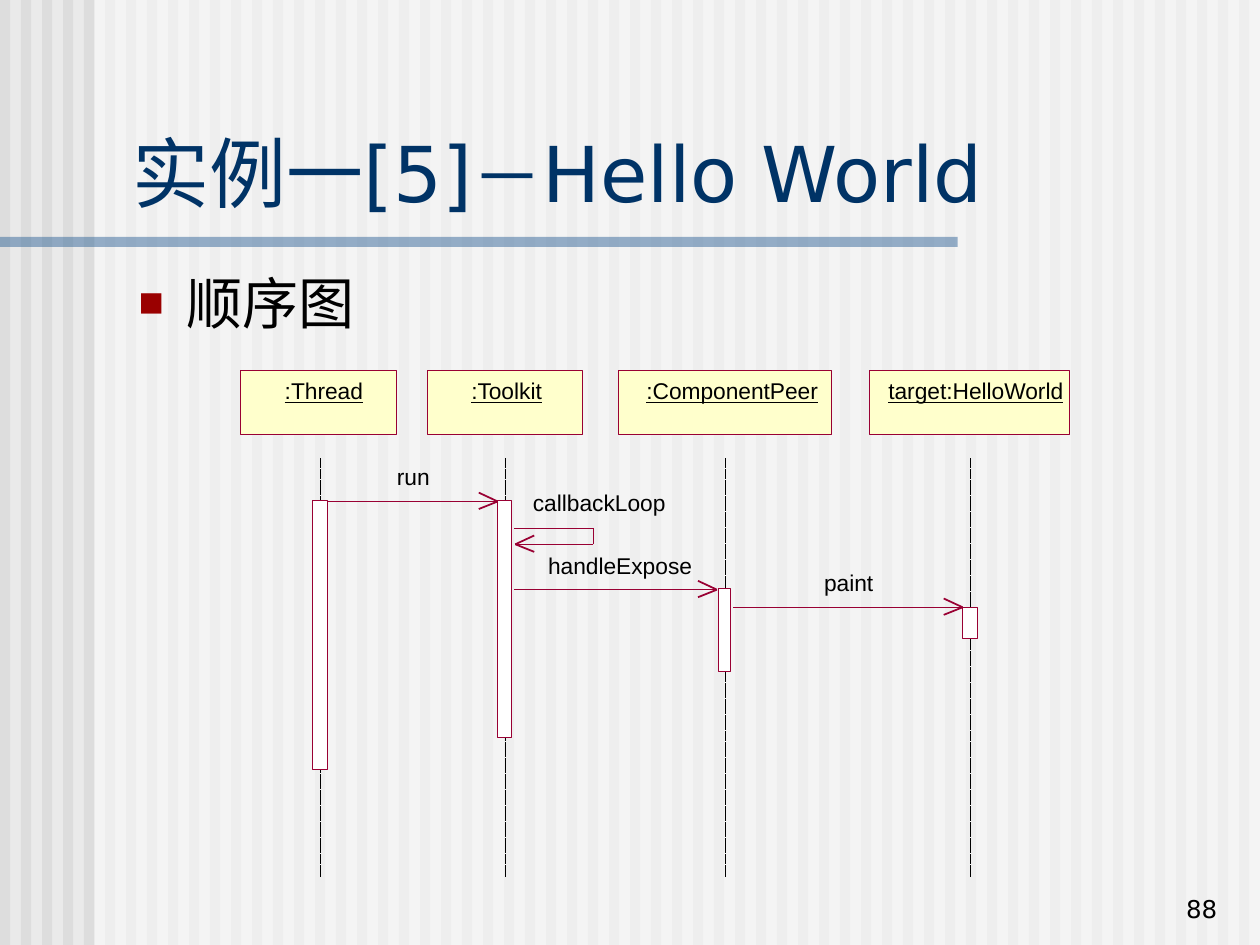
from dataclasses import dataclass

from lxml import etree
from pptx import Presentation
from pptx.dml.color import RGBColor
from pptx.enum.dml import MSO_LINE
from pptx.enum.shapes import MSO_CONNECTOR, MSO_SHAPE
from pptx.enum.text import MSO_ANCHOR, MSO_AUTO_SIZE, PP_ALIGN
from pptx.oxml.ns import qn
from pptx.util import Inches, Pt

RECTANGLE = MSO_SHAPE.RECTANGLE
STRAIGHT = MSO_CONNECTOR.STRAIGHT
SHORT_DASH = MSO_LINE.SQUARE_DOT
TOP, BOTTOM = MSO_ANCHOR.TOP, MSO_ANCHOR.BOTTOM
LEFT, RIGHT = PP_ALIGN.LEFT, PP_ALIGN.RIGHT
NO_AUTOFIT, GROW = MSO_AUTO_SIZE.NONE, MSO_AUTO_SIZE.SHAPE_TO_FIT_TEXT


@dataclass(frozen=True)
class Theme:
    backdrop: str = "EAEAEA"
    stripe: str = "DDDDDD"
    veil: str = "FFFFFF"
    rule: str = "336699"
    title: str = "003366"
    text: str = "000000"
    bullet: str = "9A0000"
    participant: str = "FFFFCC"
    activation: str = "FFFFFF"
    outline: str = "990033"
    heading_font: str = "DejaVu Sans"
    diagram_font: str = "Arial"
    title_size: float = 44
    dash_size: float = 40
    body_size: float = 32
    number_size: float = 14
    label_size: float = 13
    hairline: float = 0
    thin: float = 0.37
    bold: float = 1


class SlideBuilder:
    def __init__(self, slide, theme):
        self.slide = slide
        self.theme = theme
        backdrop = slide.background.fill
        backdrop.solid()
        backdrop.fore_color.rgb = RGBColor.from_string(theme.backdrop)

    def style(self, font, name, color, size=None):
        font.name = name
        font.color.rgb = RGBColor.from_string(color)
        if size:
            font.size = Pt(size)

    def rectangle(self, left, top, width, height, fill, outline=None, alpha=None):
        box = self.slide.shapes.add_shape(
            RECTANGLE, Inches(left), Inches(top), Inches(width), Inches(height))
        box.shadow.inherit = False
        box.fill.solid()
        box.fill.fore_color.rgb = RGBColor.from_string(fill)
        if alpha:
            color = box._element.spPr.find(".//" + qn("a:srgbClr"))
            etree.SubElement(color, qn("a:alpha"), val=str(alpha * 1000))
        if outline:
            box.line.color.rgb = RGBColor.from_string(outline)
            box.line.width = Pt(self.theme.thin)
        else:
            box.line.fill.background()

    def line(self, start, end, color, width, dash=None):
        connector = self.slide.shapes.add_connector(
            STRAIGHT, *(Inches(value) for value in (*start, *end)))
        connector.line.color.rgb = RGBColor.from_string(color)
        properties = connector._element.spPr
        properties.find(qn("a:ln")).set("w", str(Pt(width)))
        if dash:
            connector.line.dash_style = dash
        etree.SubElement(properties, qn("a:effectLst"))

    def message(self, points):
        theme = self.theme
        for start, end in zip(points, points[1:]):
            self.line(start, end, theme.outline, theme.thin)
        (from_x, _), (tip_x, tip_y) = points[-2:]
        barb_x = tip_x + (0.15 if from_x > tip_x else -0.15)
        for rise in (0.06, -0.07):
            self.line((tip_x, tip_y), (barb_x, tip_y + rise), theme.outline, theme.bold)

    def label(self, text, left, top, width, underline=None):
        box = self.slide.shapes.add_textbox(
            Inches(left), Inches(top), Inches(width), Inches(0.22))
        frame = box.text_frame
        frame.margin_left = frame.margin_right = frame.margin_top = frame.margin_bottom = 0
        frame.word_wrap = False
        frame.auto_size = GROW
        frame.text = text
        font = frame.paragraphs[0].font
        self.style(font, self.theme.diagram_font, self.theme.text, self.theme.label_size)
        font.underline = underline

    def place(self, placeholder, left, top, width, height, anchor):
        placeholder.left, placeholder.top = Inches(left), Inches(top)
        placeholder.width, placeholder.height = Inches(width), Inches(height)
        self.slide.shapes._spTree.append(placeholder._element)
        frame = placeholder.text_frame
        frame.auto_size = NO_AUTOFIT
        frame.vertical_anchor = anchor
        paragraph = frame.paragraphs[0]
        paragraph.alignment = LEFT
        paragraph.space_before = Pt(0)
        return paragraph

    def title(self, parts):
        heading = self.place(self.slide.shapes.title, 0.95, 0.94, 8.93, 0.84, BOTTOM)
        self.style(heading.font, self.theme.heading_font, self.theme.title)
        for text, size in parts:
            run = heading.add_run()
            run.text = text
            run.font.size = Pt(size)

    def bullet(self, text):
        item = self.place(self.slide.placeholders[1], 1, 2.08, 8.87, 0.67, TOP)
        item.text = text
        properties = item._p.get_or_add_pPr()
        properties.set("marL", str(Inches(0.38)))
        properties.set("indent", str(Inches(-0.38)))
        color = etree.SubElement(properties, qn("a:buClr"))
        etree.SubElement(color, qn("a:srgbClr"), val=self.theme.bullet)
        etree.SubElement(properties, qn("a:buSzPct"), val="75000")
        etree.SubElement(properties, qn("a:buFont"), typeface=self.theme.diagram_font)
        etree.SubElement(properties, qn("a:buChar"), char="■")
        self.style(item.font, self.theme.heading_font, self.theme.text, self.theme.body_size)

    def page_number(self, number):
        box = self.slide.shapes.add_textbox(
            Inches(7.68), Inches(6.88), Inches(2.08), Inches(0.5))
        frame = box.text_frame
        frame.word_wrap = True
        frame.vertical_anchor = BOTTOM
        frame.text = number
        paragraph = frame.paragraphs[0]
        paragraph.alignment = RIGHT
        self.style(paragraph.font, self.theme.heading_font, self.theme.text,
                   self.theme.number_size)


def main():
    theme = Theme()
    deck = Presentation()
    deck.slide_width, deck.slide_height = Inches(10), Inches(7.5)
    builder = SlideBuilder(deck.slides.add_slide(deck.slide_layouts[1]), theme)

    for column in range(60):
        builder.rectangle(column / 6, 0, 0.08, 7.5, theme.stripe)
    builder.rectangle(0.75, 0, 9.25, 7.5, theme.veil, alpha=50)
    builder.rectangle(0, 1.88, 7.6, 0.08, theme.rule, alpha=50)

    builder.title([("实例一[5]", theme.title_size), ("－", theme.dash_size),
                   ("Hello World", theme.title_size)])
    builder.bullet("顺序图")

    participants = [
        (":Thread", (1.91, 1.24), (2.26, 0.62), 2.54, (2.48, 3.97, 0.12, 2.14)),
        (":Toolkit", (3.39, 1.23), (3.74, 0.58), 4.01, (3.95, 3.97, 0.11, 1.88)),
        (":ComponentPeer", (4.91, 1.69), (5.13, 1.4), 5.76, (5.7, 4.67, 0.1, 0.66)),
        ("target:HelloWorld", (6.9, 1.59), (7.05, 1.39), 7.7, (7.64, 4.82, 0.12, 0.25)),
    ]
    for name, (left, width), (name_left, name_width), lifeline, activation in participants:
        builder.rectangle(left, 2.94, width, 0.51, theme.participant, theme.outline)
        builder.label(name, name_left, 2.99, name_width, underline=True)
        builder.line((lifeline, 3.64), (lifeline, 6.96), theme.text, theme.hairline,
                     SHORT_DASH)
        builder.rectangle(*activation, theme.activation, theme.outline)

    messages = [
        ("run", (3.15, 3.67, 0.26), [(2.6, 3.98), (3.95, 3.98)]),
        ("callbackLoop", (4.23, 3.88, 1.1),
         [(4.08, 4.19), (4.71, 4.19), (4.71, 4.32), (4.09, 4.32)]),
        ("handleExpose", (4.35, 4.38, 1.18), [(4.08, 4.68), (5.69, 4.68)]),
        ("paint", (6.54, 4.51, 0.39), [(5.82, 4.82), (7.64, 4.82)]),
    ]
    for call, position, points in messages:
        builder.message(points)
        builder.label(call, *position)

    builder.page_number("88")
    deck.save("out.pptx")


if __name__ == "__main__":
    main()
